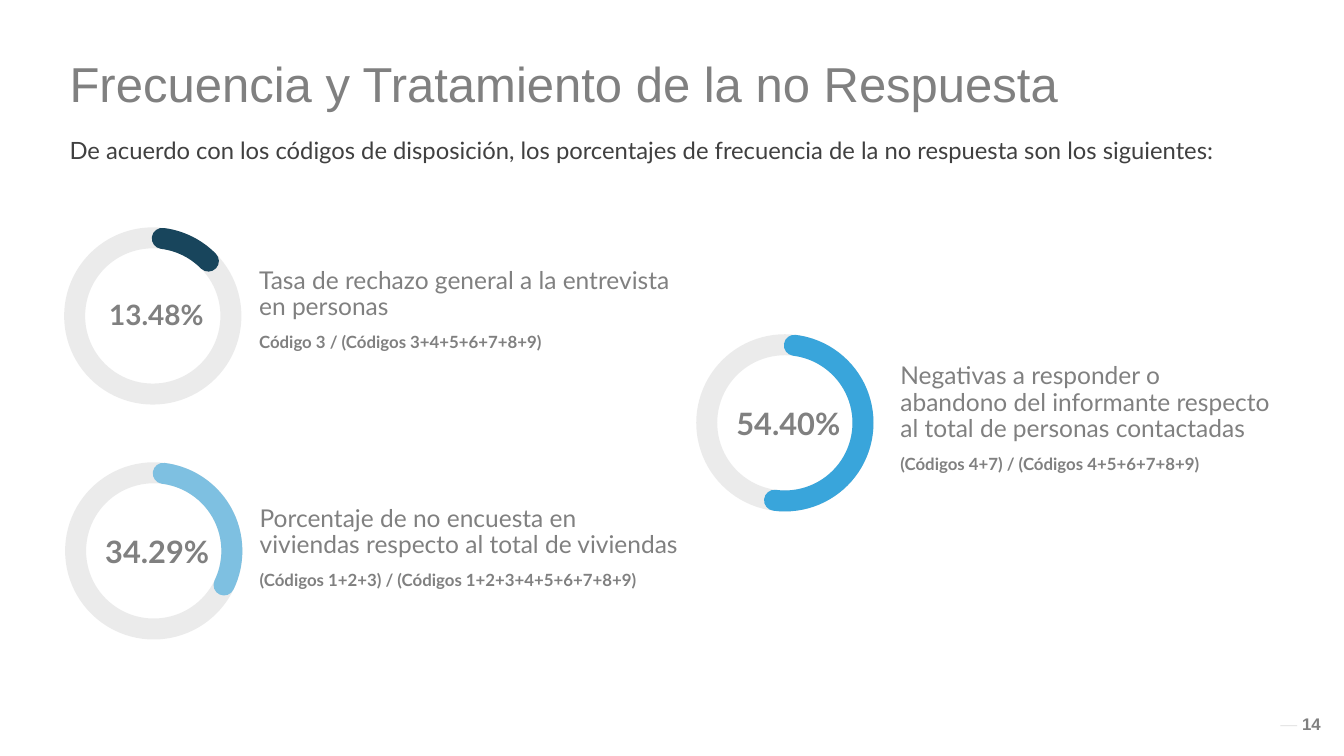
from dataclasses import dataclass

from lxml.etree import SubElement
from pptx import Presentation
from pptx.dml.color import RGBColor
from pptx.dml.line import LineFormat
from pptx.enum.shapes import MSO_CONNECTOR, MSO_SHAPE
from pptx.enum.text import MSO_ANCHOR, PP_ALIGN
from pptx.oxml.ns import qn
from pptx.slide import Slide
from pptx.util import Pt

GREY = "808080"
DARK = "404040"
RING = 223.2
START = 277


@dataclass
class Run:
    text: str
    size: float
    color: str = GREY
    bold: bool = False
    font: str = "Lato"


@dataclass
class Box:
    left: float
    top: float
    width: float
    height: float


@dataclass
class Gauge:
    left: float
    top: float
    end: float
    color: str
    value: str
    size: float
    label: Box
    title: str
    codes: str


GAUGES = [
    Gauge(106.6, 339.8, 315.4, "18455C", "13.48%", 40,
          Box(370.1, 400.3, 600.5, 84.2),
          "Tasa de rechazo general a la entrevista en personas",
          "Código 3 / (Códigos 3+4+5+6+7+8+9)"),
    Gauge(108, 675.4, 25.9, "7EC0E1", "34.29%", 44,
          Box(370.8, 690.5, 600.5, 185.8),
          "Porcentaje de no encuesta en viviendas respecto al total de viviendas",
          "(Códigos 1+2+3) / (Códigos 1+2+3+4+5+6+7+8+9)"),
    Gauge(1009.4, 492.5, 97.6, "39A5DB", "54.40%", 44,
          Box(1285.9, 511.9, 531.4, 172.1),
          "Negativas a responder o abandono del informante respecto "
          "al total de personas contactadas",
          "(Códigos 4+7) / (Códigos 4+5+6+7+8+9)"),
]


def paint(color: str) -> RGBColor:
    return RGBColor.from_string(color)


def stroke(line: LineFormat, color: str, width: float, alpha: int = 100) -> None:
    line.color.rgb = paint(color)
    line.width = Pt(width)
    if alpha < 100:
        tint = line.fill._xPr.find(qn("a:solidFill"))[0]
        SubElement(tint, qn("a:alpha")).set("val", str(alpha * 1000))


def write(slide: Slide, box: Box, rows: list[Run],
          pads: tuple[float, float, float, float] = (0, 0, 0, 0),
          align: PP_ALIGN = PP_ALIGN.LEFT, anchor: MSO_ANCHOR = MSO_ANCHOR.TOP,
          pitch: Pt | float | None = None) -> None:
    shape = slide.shapes.add_textbox(
        Pt(box.left), Pt(box.top), Pt(box.width), Pt(box.height))
    frame = shape.text_frame
    frame.word_wrap = True
    frame.vertical_anchor = anchor
    frame.margin_left, frame.margin_top, frame.margin_right, frame.margin_bottom = (
        Pt(pad) for pad in pads)
    for index, row in enumerate(rows):
        para = frame.add_paragraph() if index else frame.paragraphs[0]
        para.alignment = align
        if index:
            para.space_before = Pt(7.5)
        if pitch is not None:
            para.line_spacing = pitch
        run = para.add_run()
        run.text = row.text
        run.font.name = row.font
        run.font.size = Pt(row.size)
        run.font.bold = row.bold
        run.font.color.rgb = paint(row.color)


def draw(slide: Slide, item: Gauge) -> None:
    place = Pt(item.left), Pt(item.top), Pt(RING), Pt(RING)
    ring = slide.shapes.add_shape(MSO_SHAPE.OVAL, *place)
    ring.shadow.inherit = False
    ring.fill.background()
    stroke(ring.line, "BFBFBF", 30, 30)

    arc = slide.shapes.add_shape(MSO_SHAPE.ARC, *place)
    arc.shadow.inherit = False
    arc.fill.background()
    arc.adjustments[0] = START * 0.6
    arc.adjustments[1] = item.end * 0.6
    stroke(arc.line, item.color, 30)
    arc.line.fill._xPr.set("cap", "rnd")

    write(slide, Box(item.left + 10.8, item.top + 75.6, 211.7, 72),
          [Run(item.value, item.size, bold=True)],
          (19.4, 9.4, 19.4, 9.4), PP_ALIGN.CENTER)
    write(slide, item.label,
          [Run(item.title, 35), Run(item.codes, 24, bold=True)],
          anchor=MSO_ANCHOR.MIDDLE, pitch=Pt(37.3))


def main() -> None:
    deck = Presentation()
    deck.slide_width = Pt(1919.52)
    deck.slide_height = Pt(1080)
    slide = deck.slides.add_slide(deck.slide_layouts[6])

    write(slide, Box(99.4, 78.5, 1458, 75.6),
          [Run("Frecuencia y Tratamiento de la no Respuesta", 70, font="Arial")],
          (0, 7.2, 14.4, 7.2), pitch=0.9)
    write(slide, Box(99.4, 182.9, 1689.8, 105.1),
          [Run("De acuerdo con los códigos de disposición, los porcentajes de "
               "frecuencia de la no respuesta son los siguientes:", 34, DARK)],
          (0, 15.1, 15.1, 15.1), pitch=Pt(36.4))
    for item in GAUGES:
        draw(slide, item)

    dash = slide.shapes.add_connector(
        MSO_CONNECTOR.STRAIGHT, Pt(1828.8), Pt(1036.8), Pt(1852.6), Pt(1036.8))
    stroke(dash.line, DARK, 1, 20)
    SubElement(dash._element.spPr, qn("a:effectLst"))
    write(slide, Box(1852.6, 1014.5, 46.8, 38.9),
          [Run("14", 24, bold=True, font="Arial")],
          (7.2, 3.6, 7.2, 3.6), anchor=MSO_ANCHOR.MIDDLE)
    deck.save("out.pptx")


if __name__ == "__main__":
    main()
